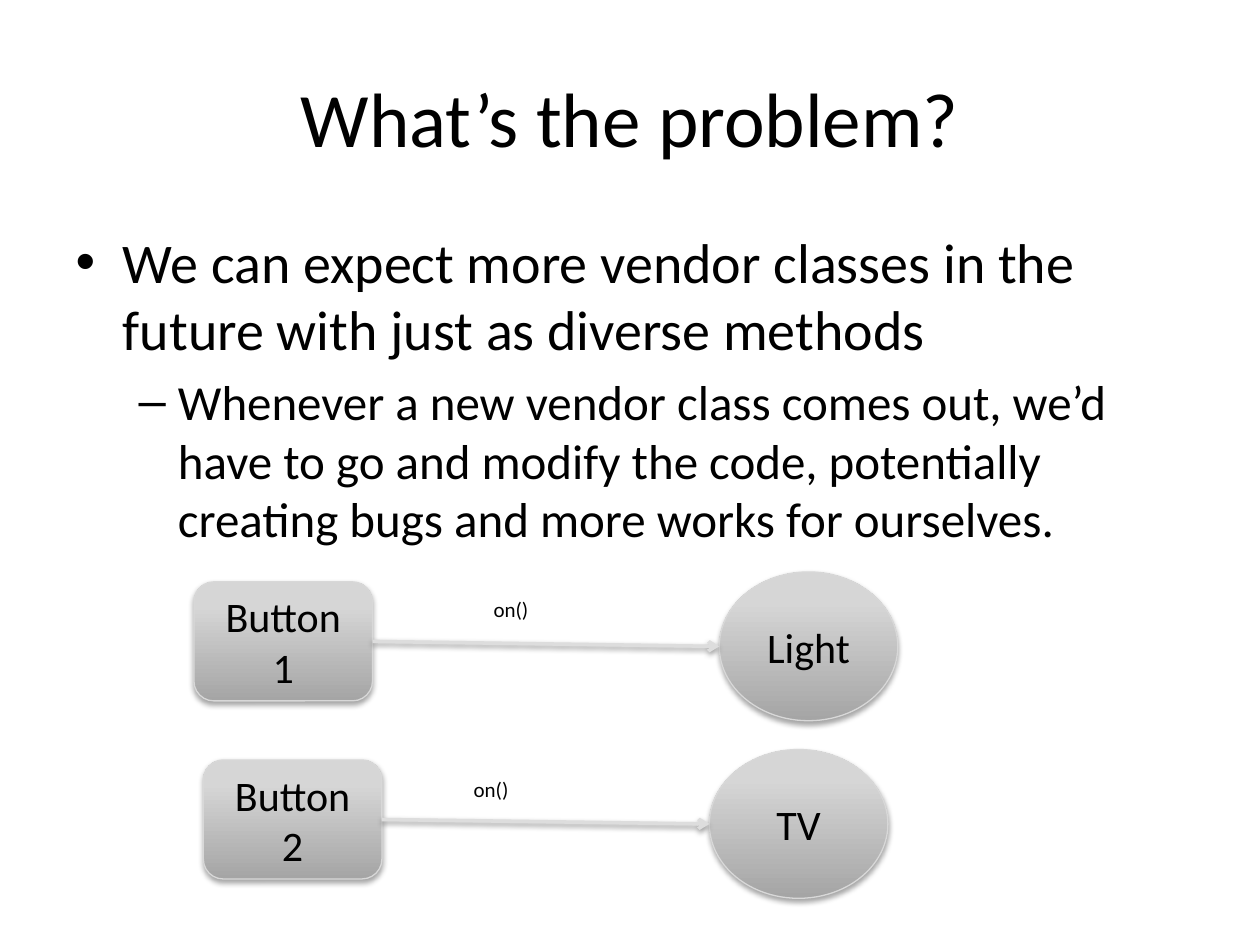
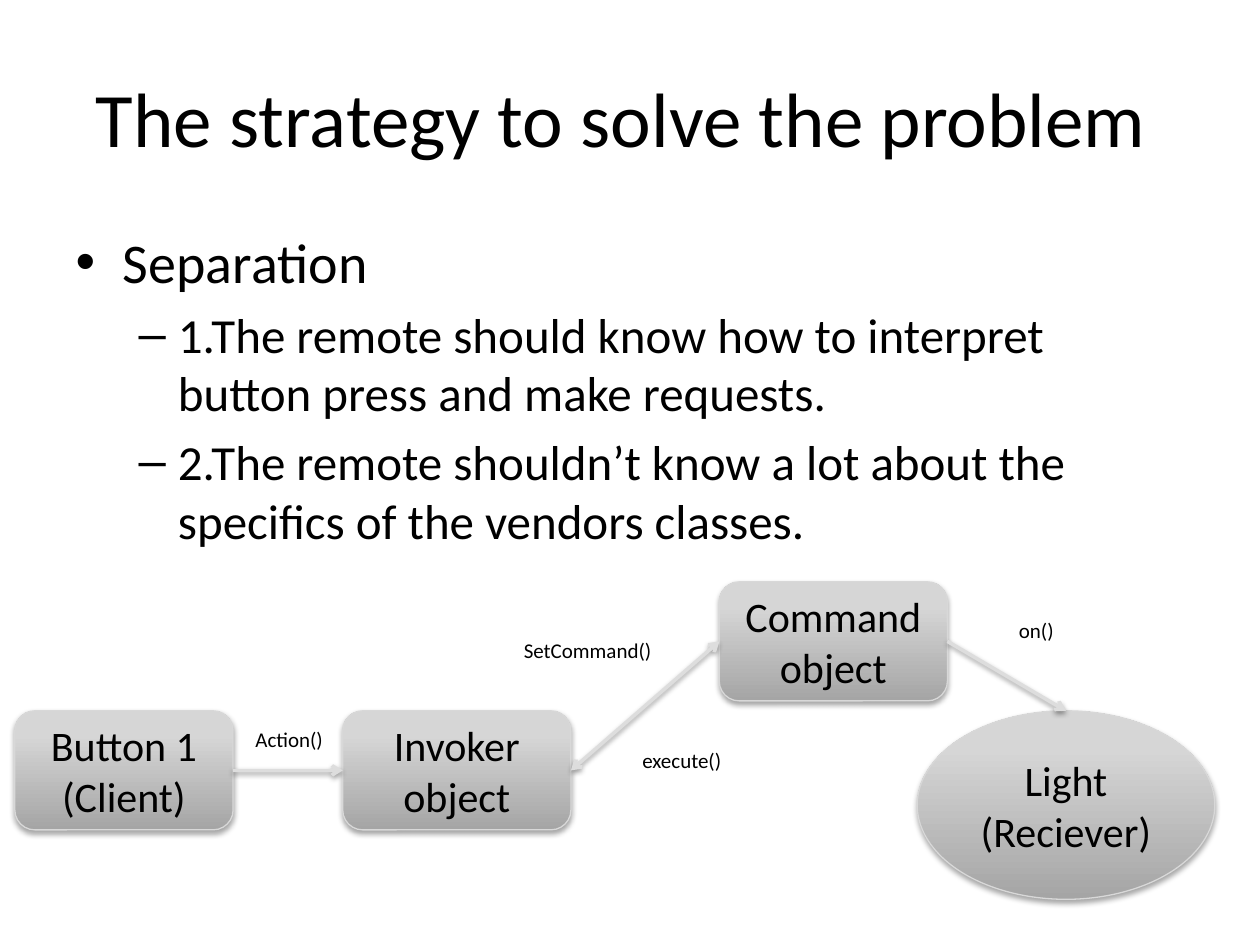
from dataclasses import dataclass

from pptx import Presentation
from pptx.dml.color import RGBColor
from pptx.enum.shapes import MSO_CONNECTOR as Connector, MSO_SHAPE as Preset
from pptx.enum.text import MSO_ANCHOR as Anchor, MSO_AUTO_SIZE as AutoSize, PP_ALIGN as Align
from pptx.oxml import parse_xml
from pptx.oxml.ns import nsdecls
from pptx.util import Cm, Pt

INK, NODE_EDGE, ARROW_GREY = "000000", "D8D8D8", "DDDDDD"
NODE_STOPS = [(0, "A5A5A5"), (80, "D6D6D6"), (100, "D7D7D7")]
TITLE_FRAME = {"left": 1.27, "top": 0.76, "width": 22.86, "height": 3.18}
BODY_FRAME = {"left": 1.27, "top": 4.45, "width": 22.86, "height": 12.57}
BODY_SIZES = (32, 28)
TOP, LEFT, BOTTOM, RIGHT = range(4)
BOX, OVAL = Preset.ROUNDED_RECTANGLE, Preset.OVAL


@dataclass
class Node:
    """A labelled class or object in a diagram, measured in centimetres."""
    text: str
    left: float
    top: float
    width: float
    height: float = 2.4
    preset: Preset = BOX

    def side(self, index: int) -> tuple:
        """Return the middle of one side."""
        across, down = {TOP: (0.5, 0), LEFT: (0, 0.5), BOTTOM: (0.5, 1), RIGHT: (1, 0.5)}[index]
        return self.left + across * self.width, self.top + down * self.height


@dataclass
class Call:
    """An arrow between two nodes, given by their positions in the diagram."""
    source: int
    target: int
    target_side: int = LEFT
    two_way: bool = False


@dataclass
class Label:
    """The name of a method beside an arrow, measured in centimetres."""
    text: str
    left: float
    top: float
    width: float = 2.2


@dataclass
class Page:
    """One slide with a title, a list and a diagram."""
    title: str
    points: list
    nodes: list
    calls: list
    labels: list


PAGES = [
    Page(
        "What’s the problem?",
        [(0, "We can expect more vendor classes in the future with just as diverse methods"),
         (1, "Whenever a new vendor class comes out, we’d have to go and modify the code, "
             "potentially creating bugs and more works for ourselves.")],
        [Node("Button 1", 3.91, 11.73, 3.6),
         Node("Button 2", 4.1, 15.32, 3.6),
         Node("Light", 14.5, 11.53, 3.6, 3, OVAL),
         Node("TV", 14.3, 15.11, 3.6, 3, OVAL)],
        [Call(0, 2), Call(1, 3)],
        [Label("on()", 9.7, 11.91), Label("on()", 9.3, 15.52)],
    ),
    Page(
        "The strategy to solve the problem ",
        [(0, "Separation"),
         (1, "1.The remote should know how to interpret button press and make requests."),
         (1, "2.The remote shouldn’t know a lot about the specifics of the vendors classes.")],
        [Node("Button 1\n(Client)", 0.3, 14.33, 4.4),
         Node("Invoker\nobject", 6.91, 14.33, 4.6),
         Node("Command\nobject", 14.5, 11.73, 4.6),
         Node("Light\n(Reciever)", 18.49, 14.33, 6, 3.8, OVAL)],
        [Call(0, 1), Call(1, 2, two_way=True), Call(2, 3, TOP)],
        [Label("Action()", 4.9, 14.53, 2), Label("SetCommand()", 10.31, 12.73, 3.4),
         Label("execute()", 12.7, 14.94), Label("on()", 20.29, 12.32)],
    ),
]


def colour(value: str) -> RGBColor:
    """Turn a hex string into a colour."""
    return RGBColor.from_string(value)


def assign(target, values: dict) -> None:
    """Set each named attribute of the target."""
    for name, value in values.items():
        setattr(target, name, value)


def style_para(para, size: float, align=None) -> None:
    """Format a paragraph and its spans."""
    para.alignment = align
    for span in para.runs:
        assign(span.font, {"name": "Calibri", "size": Pt(size)})
        span.font.color.rgb = colour(INK)


def place(box, frame: dict) -> None:
    """Move and size a box from centimetre values."""
    assign(box, {name: Cm(value) for name, value in frame.items()})


def add_shadow(box, distance: float, opacity: int) -> None:
    """Give a shape or connector a soft shadow straight below it."""
    box._element.spPr.append(parse_xml(
        f'<a:effectLst {nsdecls("a")}><a:outerShdw blurRad="{Pt(3.15)}" dist="{Pt(distance)}" '
        f'dir="5400000" rotWithShape="0"><a:srgbClr val="000000">'
        f'<a:alpha val="{opacity * 1000}"/></a:srgbClr></a:outerShdw></a:effectLst>'))


def style_line(line, value: str, width: float) -> None:
    """Set the colour and width of a line."""
    line.color.rgb = colour(value)
    line.width = Pt(width)


def draw_node(page, node: Node):
    """Draw a node with its vertical gradient and centred text."""
    box = page.shapes.add_shape(node.preset, Cm(node.left), Cm(node.top),
                                Cm(node.width), Cm(node.height))
    style_line(box.line, NODE_EDGE, 0.75)
    stops = "".join(f'<a:gs pos="{position * 1000}"><a:srgbClr val="{value}"/></a:gs>'
                    for position, value in NODE_STOPS)
    box.line._ln.addprevious(parse_xml(
        f'<a:gradFill {nsdecls("a")} rotWithShape="1"><a:gsLst>{stops}</a:gsLst>'
        '<a:lin ang="16200000" scaled="0"/></a:gradFill>'))
    add_shadow(box, 1.8, 35)
    assign(box.text_frame, {"text": node.text, "word_wrap": True,
                            "vertical_anchor": Anchor.MIDDLE})
    for para in box.text_frame.paragraphs:
        style_para(para, 24, Align.CENTER)
    return box


def draw_call(page, call: Call, nodes: list, boxes: list) -> None:
    """Draw an arrow from the right side of one node to a side of another."""
    source, target = nodes[call.source], nodes[call.target]
    ends = source.side(RIGHT) + target.side(call.target_side)
    arrow = page.shapes.add_connector(Connector.STRAIGHT, *map(Cm, ends))
    arrow.begin_connect(boxes[call.source], RIGHT)
    if target.preset == BOX or call.target_side == TOP:
        arrow.end_connect(boxes[call.target], call.target_side)
    style_line(arrow.line, ARROW_GREY, 2)
    for tag in ["headEnd", "tailEnd"] if call.two_way else ["tailEnd"]:
        arrow.line._ln.append(parse_xml(f'<a:{tag} {nsdecls("a")} type="arrow"/>'))
    add_shadow(arrow, 1.6, 38)


def draw_label(page, label: Label) -> None:
    """Write a method name beside an arrow."""
    box = page.shapes.add_textbox(Cm(label.left), Cm(label.top), Cm(label.width), Cm(0.78))
    assign(box.text_frame, {"text": label.text, "word_wrap": True,
                            "auto_size": AutoSize.SHAPE_TO_FIT_TEXT})
    style_para(box.text_frame.paragraphs[0], 12)


def build_page(deck, content: Page) -> None:
    """Add a slide with its title, list and diagram."""
    page = deck.slides.add_slide(deck.slide_layouts[1])
    title, body = page.placeholders
    place(title, TITLE_FRAME)
    title.text_frame.text = content.title
    style_para(title.text_frame.paragraphs[0], 44, Align.CENTER)
    place(body, BODY_FRAME)
    body.text_frame.text = "\n".join(text for _, text in content.points)
    for para, (level, _) in zip(body.text_frame.paragraphs, content.points):
        para.level = level
        style_para(para, BODY_SIZES[level])
    boxes = [draw_node(page, node) for node in content.nodes]
    for call in content.calls:
        draw_call(page, call, content.nodes, boxes)
    for label in content.labels:
        draw_label(page, label)


def main() -> None:
    """Build and save the deck."""
    deck = Presentation()
    assign(deck, {"slide_width": Cm(25.4), "slide_height": Cm(19.05)})
    for content in PAGES:
        build_page(deck, content)
    deck.save("out.pptx")


if __name__ == "__main__":
    main()
